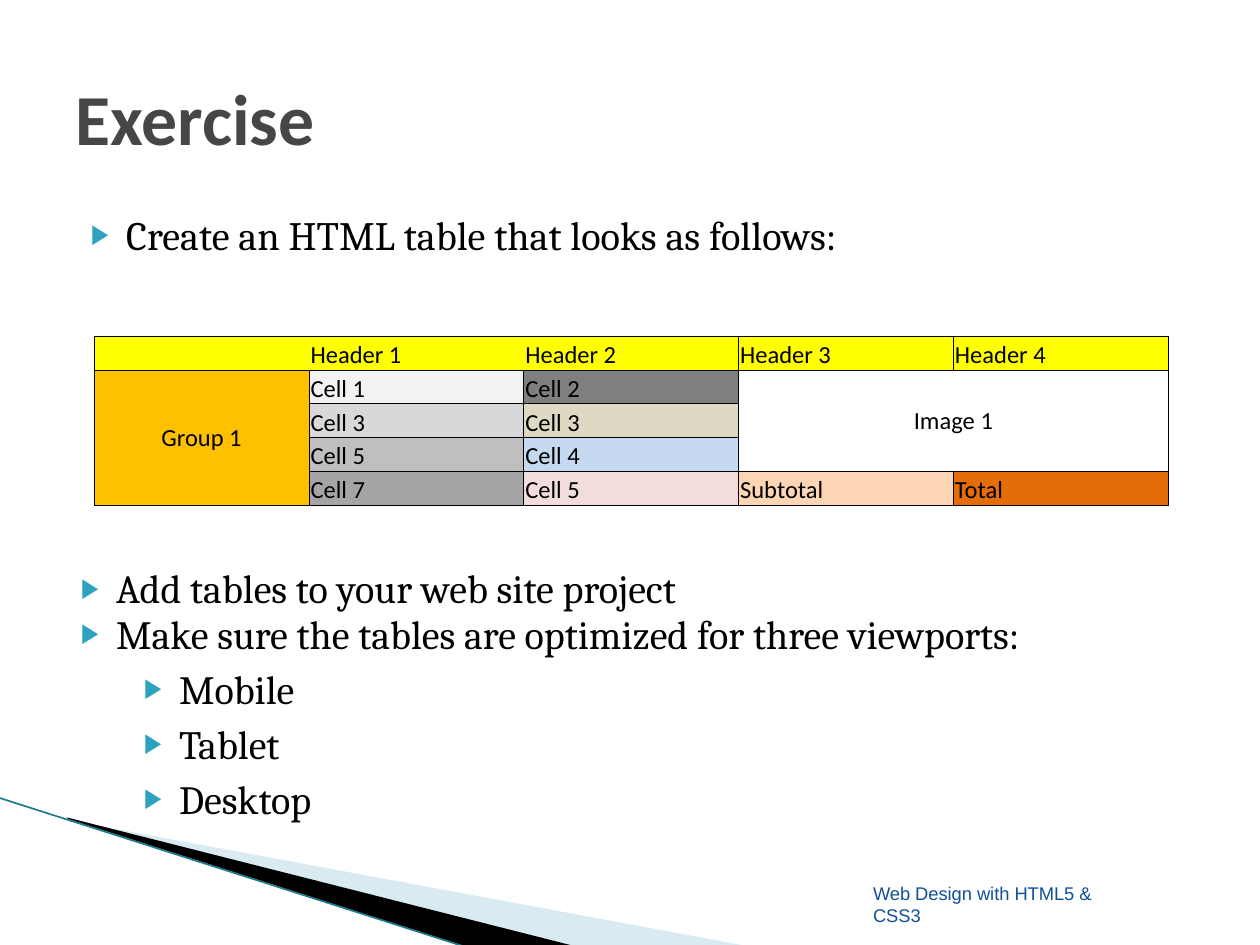
from lxml import etree
from pptx import Presentation
from pptx import util as u
from pptx.dml.color import RGBColor
from pptx.enum import shapes, text
from pptx.oxml.ns import qn

Cm, Pt = u.Cm, u.Pt
BULLET_TEAL = "2DA2BF"
HEADER, ORANGE = "FFFF00", "FFC000"
# row, column, wording, fill
CELLS = [
    (0, 0, "", HEADER), (0, 1, "Header 1", HEADER), (0, 2, "Header 2", HEADER),
    (0, 3, "Header 3", HEADER), (0, 4, "Header 4", HEADER),
    (1, 0, "Group 1", ORANGE), (1, 1, "Cell 1", "F2F2F2"),
    (1, 2, "Cell 2", "7F7F7F"), (1, 3, "Image 1", "FFFFFF"),
    (2, 1, "Cell 3", "D8D8D8"), (2, 2, "Cell 3", "DDD9C3"),
    (3, 1, "Cell 5", "BFBFBF"), (3, 2, "Cell 4", "C5D9F1"),
    (4, 1, "Cell 7", "A5A5A5"), (4, 2, "Cell 5", "F2DDDC"),
    (4, 3, "Subtotal", "FCD5B4"), (4, 4, "Total", "E46D0A"),
]
MERGES = [((1, 0), (4, 0)), ((1, 3), (3, 4))]
OPEN_SIDES = {(0, 0): "R", (0, 1): "LR", (0, 2): "L"}


def rgb(value):
    """Return the colour for a hex string."""
    return RGBColor.from_string(value)


def place(item, left, top, width, height):
    """Position an element, with lengths in centimetres."""
    item.left, item.top = Cm(left), Cm(top)
    item.width, item.height = Cm(width), Cm(height)


def style(paragraph, font, size, color, bold=False):
    """Format every run of a paragraph."""
    for run in paragraph.runs:
        run.font.name, run.font.size = font, Pt(size)
        run.font.bold, run.font.color.rgb = bold, rgb(color)


def add_bullet(paragraph, indent):
    """Give a paragraph a teal triangle bullet and a hanging indent."""
    props = paragraph._p.get_or_add_pPr()
    props.set("marL", str(Cm(indent)))
    props.set("indent", str(Cm(-0.71)))
    color = etree.SubElement(props, qn("a:buClr"))
    etree.SubElement(color, qn("a:srgbClr"), val=BULLET_TEAL)
    etree.SubElement(props, qn("a:buSzPct"), val="68000")
    etree.SubElement(props, qn("a:buFont"), typeface="Arial")
    etree.SubElement(props, qn("a:buChar"), char="▶")


def fill_list(frame, items, size):
    """Write bulleted items given as wording, indent and line spacing."""
    frame.word_wrap = True
    frame.auto_size = text.MSO_AUTO_SIZE.NONE
    frame.text = "\n".join(wording for wording, _, _ in items)
    for paragraph, (_, indent, spacing) in zip(frame.paragraphs, items):
        paragraph.space_before = Pt(4)
        paragraph.line_spacing = spacing
        add_bullet(paragraph, indent)
        style(paragraph, "Cambria", size, "000000")


def add_wedge(slide, points, color, opacity=100):
    """Draw a filled outline through points in centimetres."""
    corners = [(Cm(x), Cm(y)) for x, y in points]
    builder = slide.shapes.build_freeform(*corners[0])
    builder.add_line_segments(corners[1:])
    wedge = builder.convert_to_shape()
    wedge.shadow.inherit = False
    wedge.fill.solid()
    wedge.fill.fore_color.rgb = rgb(color)
    wedge.line.fill.background()
    if opacity < 100:
        shade = wedge._element.spPr.find(".//" + qn("a:srgbClr"))
        etree.SubElement(shade, qn("a:alpha"), val=str(opacity * 1000))


def add_edge(slide, start, end, color):
    """Draw a thin straight line between points in centimetres."""
    edge = slide.shapes.add_connector(
        shapes.MSO_CONNECTOR.STRAIGHT, *map(Cm, start + end))
    edge.line.color.rgb = rgb(color)
    edge.line.width = Pt(0.95)
    etree.SubElement(edge._element.spPr, qn("a:effectLst"))


def set_borders(cell, open_sides):
    """Draw thin black borders, except on the open sides."""
    props = cell._tc.get_or_add_tcPr()
    for side in "LRTB":
        border = etree.SubElement(props, qn("a:ln" + side), w=str(Pt(0.5)))
        if side in open_sides:
            etree.SubElement(border, qn("a:noFill"))
        else:
            solid = etree.SubElement(border, qn("a:solidFill"))
            etree.SubElement(solid, qn("a:srgbClr"), val="000000")


def add_grid(slide):
    """Build the sample table with its merged cells."""
    grid = slide.shapes.add_table(
        5, 5, Cm(1.9), Cm(6.78), Cm(21.65), Cm(3.4)).table
    grid.first_row = grid.horz_banding = False
    for column in grid.columns:
        column.width = Cm(4.33)
    for row in grid.rows:
        row.height = Cm(0.68)
    for cell in grid.iter_cells():
        cell.margin_left = cell.margin_right = cell.margin_top = Cm(0.03)
        cell.margin_bottom = 0
        ending = cell.text_frame.paragraphs[0]._p.get_or_add_endParaRPr()
        ending.set("sz", "1400")
    for first, last in MERGES:
        grid.cell(*first).merge(grid.cell(*last))
    for row, column, wording, color in CELLS:
        cell = grid.cell(row, column)
        if wording:
            cell.text_frame.text = wording
        paragraph = cell.text_frame.paragraphs[0]
        style(paragraph, "Calibri", 14, "000000")
        cell.vertical_anchor = text.MSO_ANCHOR.BOTTOM
        if cell.is_merge_origin:
            cell.vertical_anchor = text.MSO_ANCHOR.MIDDLE
            paragraph.alignment = text.PP_ALIGN.CENTER
    for cell_index, cell in enumerate(grid.iter_cells()):
        set_borders(cell, OPEN_SIDES.get(divmod(cell_index, 5), ""))
    for row, column, _, color in CELLS:
        cell = grid.cell(row, column)
        cell.fill.solid()
        cell.fill.fore_color.rgb = rgb(color)


def add_box(slide, left, top, width, height):
    """Add a wrapping text box and return its text frame."""
    box = slide.shapes.add_textbox(Cm(left), Cm(top), Cm(width), Cm(height))
    box.text_frame.word_wrap = True
    return box.text_frame


def main():
    """Build the slide and save it."""
    deck = Presentation()
    deck.slide_width, deck.slide_height = Cm(25.4), Cm(19.05)
    slide = deck.slides.add_slide(deck.slide_layouts[1])

    add_wedge(slide, [(1.4, 16.54), (15.11, 19.08), (11.58, 19.08),
                      (1.4, 16.51)], "A0CBDC", 40)
    add_wedge(slide, [(1.35, 16.48), (11.61, 19.08), (9.45, 19.1),
                      (1.37, 16.51)], "000000")
    add_edge(slide, (-0.03, 16.08), (9.42, 19.1), "1F7A8C")

    footer = add_box(slide, 17.35, 17.65, 5.08, 1.14)
    footer.text = "Web Design with HTML5 & CSS3"
    style(footer.paragraphs[0], "Arial", 10.5, "114F96")

    title = slide.shapes.title
    place(title, 1.27, 0.76, 22.86, 3.18)
    title.text_frame.text = "Exercise"
    title.text_frame.vertical_anchor = text.MSO_ANCHOR.MIDDLE
    title.text_frame.paragraphs[0].alignment = text.PP_ALIGN.LEFT
    style(title.text_frame.paragraphs[0], "Calibri", 41, "464646", True)

    task = slide.placeholders[1]
    place(task, 1.27, 4.11, 22.86, 2.24)
    fill_list(task.text_frame,
              [("Create an HTML table that looks as follows:", 1.02, 1.0)], 23)

    add_grid(slide)

    steps = [("Add tables to your web site project", 1.02, 0.8),
             ("Make sure the tables are optimized for three viewports:",
              1.02, 0.8)]
    steps += [(name, 2.29, 1.0) for name in ("Mobile", "Tablet", "Desktop")]
    follow_up = add_box(slide, 1.07, 11.43, 22.86, 5.08)
    fill_list(follow_up, steps, 22.9)
    for paragraph in follow_up.paragraphs[2:]:
        paragraph.level = 1

    deck.save("out.pptx")


if __name__ == "__main__":
    main()
